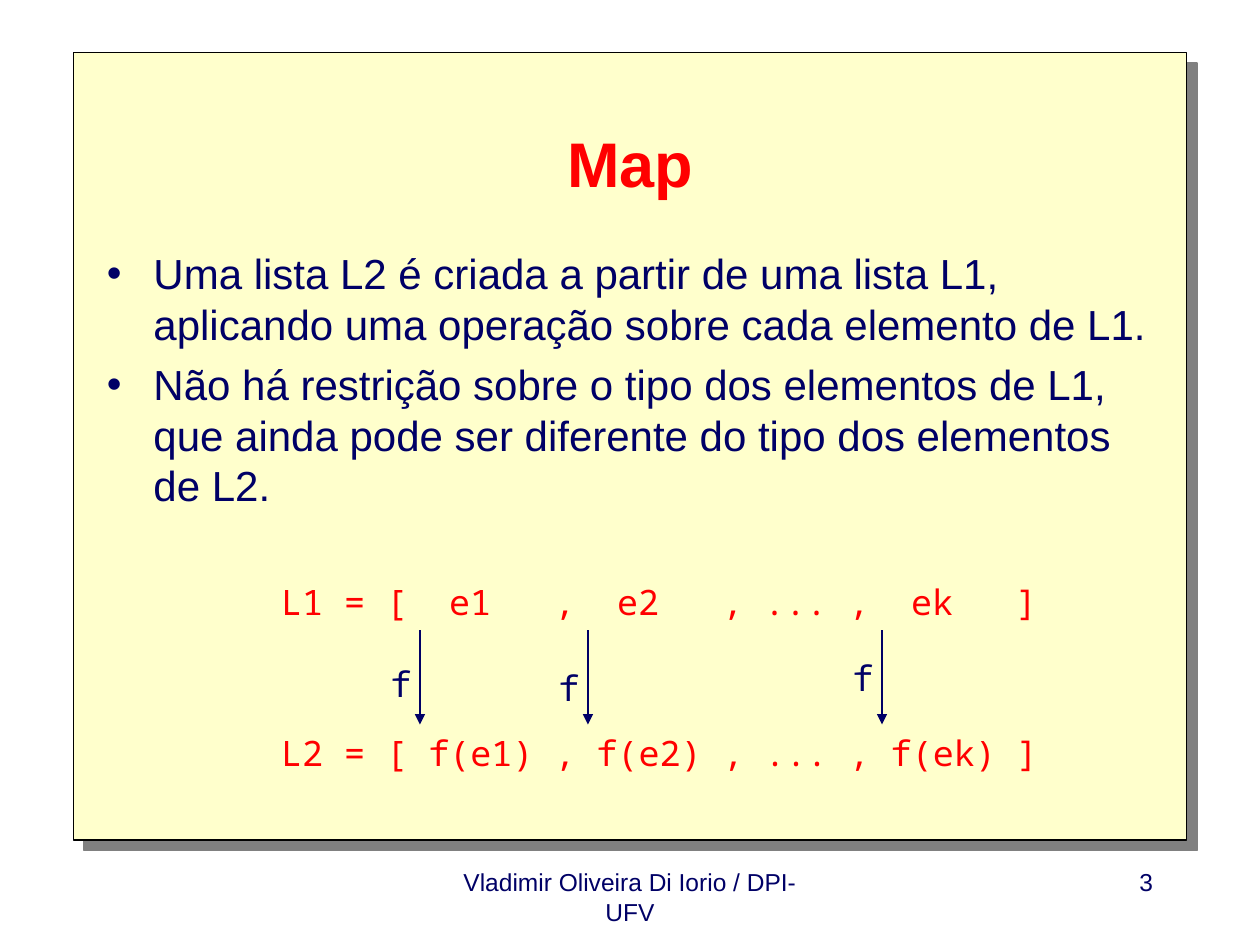
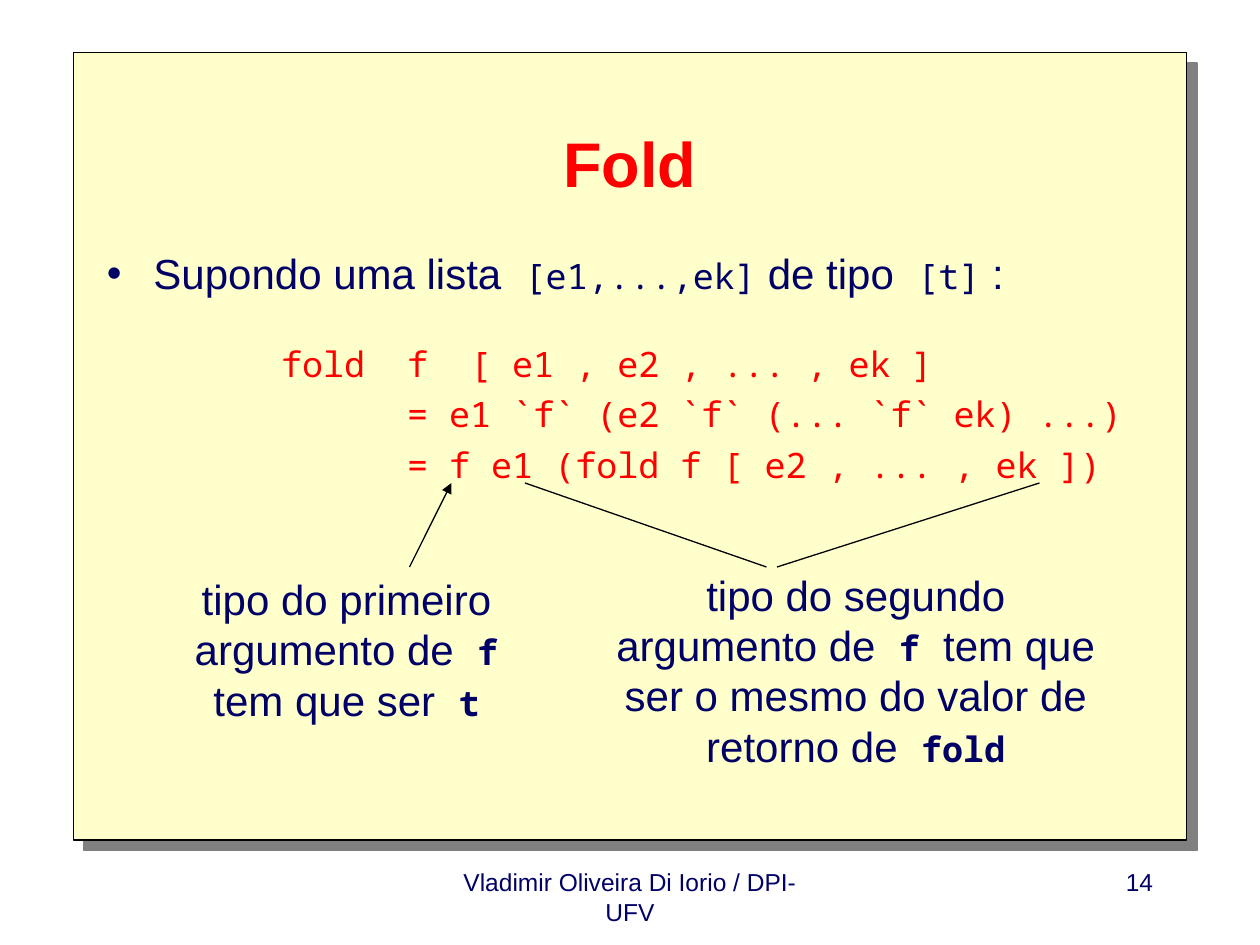
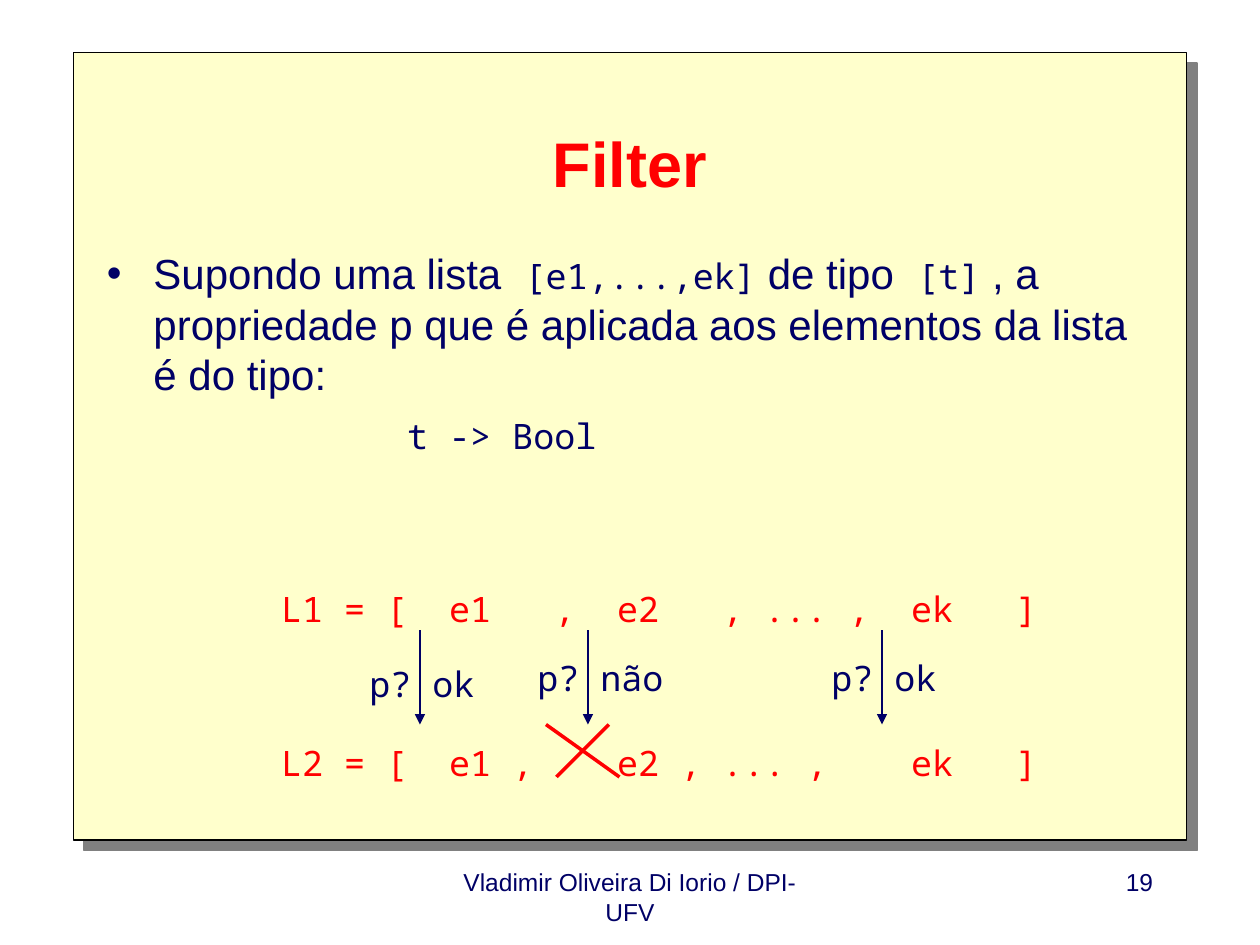
from lxml.etree import SubElement
from pptx import Presentation
from pptx.dml.color import RGBColor
from pptx.enum.shapes import MSO_CONNECTOR, MSO_SHAPE
from pptx.enum.text import MSO_ANCHOR, MSO_AUTO_SIZE, PP_ALIGN
from pptx.oxml.ns import qn
from pptx.util import Inches, Pt

COLORS = {
    "panel": "FFFFCC",
    "shadow": "808080",
    "outline": "000000",
    "accent": "FF0000",
    "ink": "000066",
}
SANS, MONO = "Arial", "Noto Sans Mono"
COLUMNS, ROWS = 120, 90
CHAR = 2  # columns taken by one code character
CODE_LEFT = 25.6
LINE_ROWS = 5.3
ARROW_COLUMNS = (40, 56, 84)
FOOTER = "Vladimir Oliveira Di Iorio / DPI-UFV"


def rgb(name):
    return RGBColor.from_string(COLORS[name])


class Deck:
    """Holds the presentation, its style and the slide being filled."""

    def __init__(self):
        self.prs = Presentation()
        self.prs.slide_width, self.prs.slide_height = Inches(10), Inches(7.5)
        self.slide = None

    def x(self, column):
        return round(self.prs.slide_width * column / COLUMNS)

    def y(self, row):
        return round(self.prs.slide_height * row / ROWS)

    def box(self, left, top, width, height):
        return self.x(left), self.y(top), self.x(width), self.y(height)

    def new_slide(self, title, number):
        self.slide = self.prs.slides.add_slide(self.prs.slide_layouts[5])
        self.panel()
        self.title(title)
        self.text(FOOTER, (41, 82, 38, 6), size=14, align=PP_ALIGN.CENTER)
        self.text(str(number), (86, 82, 25, 6), size=14, align=PP_ALIGN.RIGHT)

    def panel(self):
        panel = self.slide.shapes.add_shape(MSO_SHAPE.RECTANGLE, *self.box(7, 5, 106, 75))
        panel.fill.solid()
        panel.fill.fore_color.rgb = rgb("panel")
        panel.line.color.rgb = rgb("outline")
        panel.line.width = Pt(0.75)
        panel.shadow.inherit = False
        effects = panel._element.spPr.find(qn("a:effectLst"))
        shadow = SubElement(effects, qn("a:outerShdw"), dist=str(Pt(8.5)),
                            dir=str(45 * 60000), algn="ctr", rotWithShape="0")
        SubElement(shadow, qn("a:srgbClr"), val=COLORS["shadow"])
        self.slide.shapes._spTree.insert(2, panel._element)  # behind the title

    def title(self, words):
        title = self.slide.shapes.title
        title.left, title.top, title.width, title.height = self.box(9, 8, 102, 15)
        title.text = words
        frame = title.text_frame
        frame.auto_size = MSO_AUTO_SIZE.NONE
        frame.vertical_anchor = MSO_ANCHOR.MIDDLE
        heading = frame.paragraphs[0]
        heading.alignment = PP_ALIGN.CENTER
        self.font(heading.font, 36, SANS, "accent", True)

    @staticmethod
    def font(font, size, face, color, bold=False):
        font.size, font.name, font.bold = Pt(size), face, bold
        font.color.rgb = rgb(color)

    def text(self, content, area, size=24, face=SANS, color="ink", align=PP_ALIGN.LEFT,
             anchor=MSO_ANCHOR.TOP, space=0, bold_code=False):
        """Write one paragraph per line; a tuple in place of a line alternates prose and code."""
        frame = self.slide.shapes.add_textbox(*self.box(*area)).text_frame
        frame.word_wrap = True
        frame.vertical_anchor = anchor
        lines = [content] if isinstance(content, str) else content
        for index, line in enumerate(lines):
            paragraph = frame.add_paragraph() if index else frame.paragraphs[0]
            paragraph.alignment = align
            paragraph.space_before = Pt(space)
            self.font(paragraph.font, size, face, color)
            parts = (line,) if isinstance(line, str) else line
            for position, part in enumerate(parts):
                run = paragraph.add_run()
                run.text = part
                if position % 2:
                    self.font(run.font, 20, MONO, color, bold_code)
        return frame

    def bullets(self, items, height):
        frame = self.text(items, (9, 23, 102, height), space=6)
        for paragraph in frame.paragraphs:
            properties = paragraph._p.get_or_add_pPr()
            properties.set("marL", str(Inches(0.37)))
            properties.set("indent", str(-Inches(0.37)))
            SubElement(properties, qn("a:buFont"), typeface=SANS)
            SubElement(properties, qn("a:buChar"), char="•")

    def code(self, lines, top, stops=(), left=CODE_LEFT, color="accent"):
        """Write code whose tabs lead to the given character columns."""
        frame = self.text(lines, (left, top, 111 - left, LINE_ROWS), size=20, face=MONO,
                          color=color, space=5)
        for paragraph in frame.paragraphs:
            tabs = SubElement(paragraph._p.get_or_add_pPr(), qn("a:tabLst"))
            for stop in stops:
                SubElement(tabs, qn("a:tab"), pos=str(self.x(stop * CHAR)), algn="l")

    def label(self, words, left, top, width, align=PP_ALIGN.LEFT):
        self.text(words, (left, top, width, LINE_ROWS), size=20, face=MONO,
                  align=align, anchor=MSO_ANCHOR.MIDDLE)

    def note(self, parts, area):
        self.text([parts], area, align=PP_ALIGN.CENTER, anchor=MSO_ANCHOR.MIDDLE, bold_code=True)

    def line(self, start, end, color="outline", width=0.75, arrow=False):
        line = self.slide.shapes.add_connector(
            MSO_CONNECTOR.STRAIGHT, self.x(start[0]), self.y(start[1]),
            self.x(end[0]), self.y(end[1]))
        line.line.color.rgb = rgb(color)
        line.line.width = Pt(width)
        if arrow:
            SubElement(line.line._get_or_add_ln(), qn("a:tailEnd"), type="triangle")
        SubElement(line._element.spPr, qn("a:effectLst"))

    def element_arrows(self):
        for column in ARROW_COLUMNS:
            self.line((column, 60), (column, 69), "ink", arrow=True)

    def source_list(self, top):
        self.code("L1 = [\te1\t,\te2\t, ... ,\tek\t]", top, (8, 13, 16, 21, 30, 35))


def map_slide(deck):
    deck.new_slide("Map", 3)
    deck.bullets([
        "Uma lista L2 é criada a partir de uma lista L1, aplicando uma operação "
        "sobre cada elemento de L1.",
        "Não há restrição sobre o tipo dos elementos de L1, que ainda pode ser "
        "diferente do tipo dos elementos de L2.",
    ], 30)
    deck.source_list(54.7)
    deck.code("L2 = [ f(e1) , f(e2) , ... , f(ek) ]", 69.1)
    deck.element_arrows()
    for column, top in zip(ARROW_COLUMNS, (62.4, 62.8, 61.9)):
        deck.label("f", column - 4, top, 4, PP_ALIGN.CENTER)


def fold_slide(deck):
    deck.new_slide("Fold", 14)
    deck.bullets([("Supondo uma lista  ", "[e1,...,ek]", " de tipo  ", "[t]", " :")], 7)
    deck.code([
        "fold\tf\t[ e1 , e2 , ... , ek ]",
        "\t= e1 `f` (e2 `f` (... `f` ek) ...)",
        "\t= f e1 (fold f [ e2 , ... , ek ])",
    ], 32, (6, 9))
    deck.line((39, 54), (43, 46), arrow=True)
    deck.line((50, 46), (73, 54))
    deck.line((74, 54), (99, 46))
    deck.note(("tipo do primeiro argumento de  ", "f", " tem que ser  ", "t"),
              (17, 54, 32, 15.6))
    deck.note(("tipo do segundo argumento de  ", "f",
               "  tem que ser o mesmo do valor de retorno de  ", "fold"),
              (57, 53.6, 49, 20.4))


def filter_slide(deck):
    deck.new_slide("Filter", 19)
    deck.bullets([("Supondo uma lista  ", "[e1,...,ek]", " de tipo  ", "[t]",
                   " , a propriedade p que é aplicada aos elementos da lista é do tipo:")], 16)
    deck.code("t -> Bool", 38.9, left=CODE_LEFT + 6 * CHAR, color="ink")
    deck.source_list(55.4)
    deck.code("L2 = [\te1 ,\te2 , ... ,\tek\t]", 70, (8, 16, 30, 35))
    deck.element_arrows()
    verdicts = zip(ARROW_COLUMNS, ("p? ok", "p? não", "p? ok"), (62.4, 61.9, 61.9))
    for column, verdict, top in verdicts:
        deck.label(verdict, column - 6, top, 17)
    deck.line((52, 69), (59, 74), "accent", 2)
    deck.line((53, 74), (58, 69), "accent", 2)


def main():
    deck = Deck()
    for build in (map_slide, fold_slide, filter_slide):
        build(deck)
    deck.prs.save("out.pptx")


if __name__ == "__main__":
    main()
